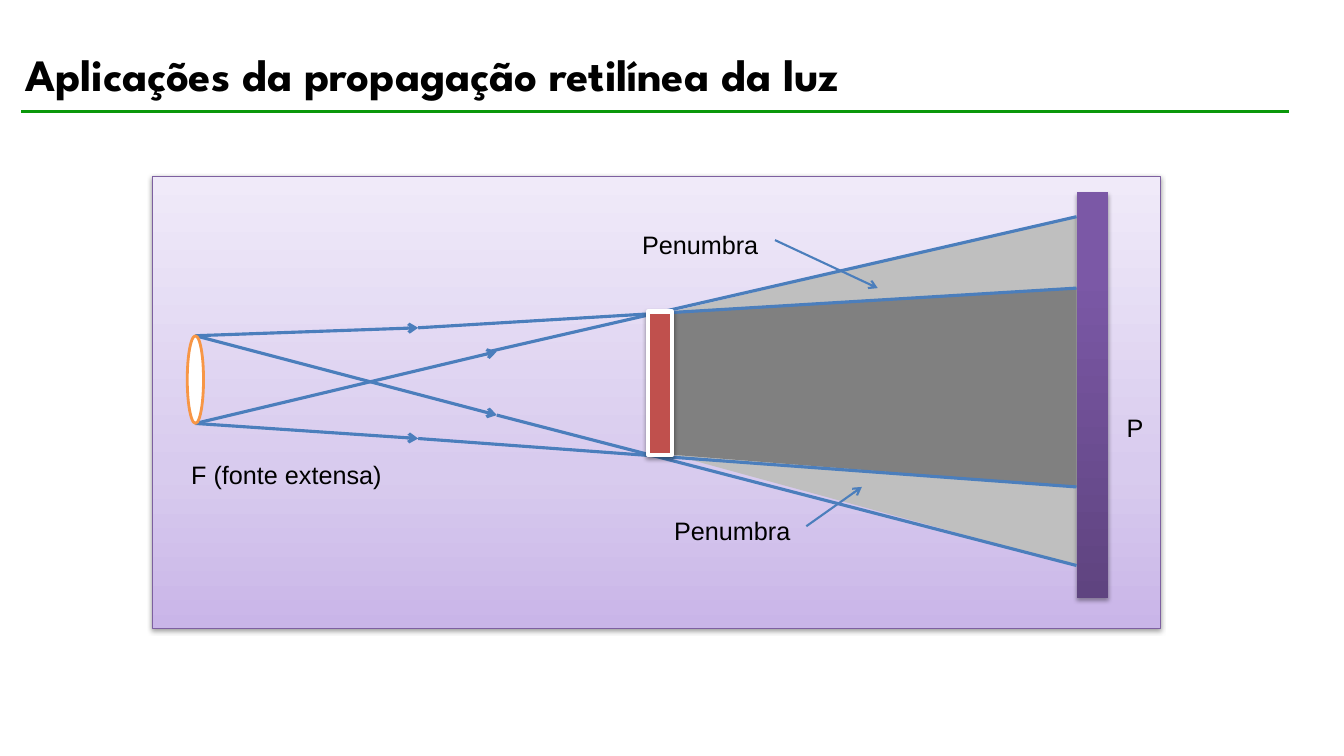
"""Build the slide on the straight-line propagation of light, with umbra and penumbra."""
from pptx import Presentation
from pptx.dml.color import RGBColor
from pptx.enum.shapes import MSO_CONNECTOR, MSO_SHAPE
from pptx.enum.text import MSO_ANCHOR, MSO_AUTO_SIZE, PP_ALIGN
from pptx.oxml import parse_xml
from pptx.oxml.ns import nsdecls, qn
from pptx.util import Cm, Pt

TITLE = "Aplicações da propagação retilínea da luz"
TITLE_BOX = (0.3, 0.81, 25.12, 2.08)
RULE = ((0.53, 2.82), (32.49, 2.82))
LABELS = [
    ("Penumbra", 16.74, 12.85, 3.48),
    ("P", 28.14, 10.26, 0.94),
    ("Penumbra", 15.93, 5.66, 3.48),
    ("F (fonte extensa)", 4.57, 11.46, 5.36),
]
POINTERS = [((20.32, 13.26), (21.72, 12.27)), ((19.53, 6.05), (22.12, 7.26))]

PANEL = (3.84, 4.45, 25.4, 11.4)
WALL = (27.13, 4.85, 0.79, 10.21)
BLOCK = (16.33, 7.85, 0.61, 3.61)
LAMP = (4.72, 8.46, 0.41, 2.21)
HITS = {"penumbra": (5.46, 14.25), "umbra": (7.26, 12.27)}
SHADES = {"penumbra": "BFBFBF", "umbra": "808080"}
PANEL_STOPS = [(0, "C9B5E8"), (35, "D8CBEE"), (100, "F0EAF9")]
WALL_STOPS = [(0, "5F4480"), (80, "7B58A6"), (100, "7C57A8")]
BLUE = "4B7EBC"

LAMP_X = LAMP[0] + LAMP[2] / 2
LAMP_TOP, LAMP_LOW = LAMP[1], LAMP[1] + LAMP[3]
RAYS = [
    (LAMP_TOP, (12.52, 10.46), 12.52, HITS["penumbra"][1]),
    (LAMP_LOW, (12.52, 8.86), 12.32, HITS["penumbra"][0]),
    (LAMP_LOW, (10.54, 11.05), 10.54, HITS["umbra"][1]),
    (LAMP_TOP, (10.54, 8.26), 10.54, HITS["umbra"][0]),
]


def color(code):
    return RGBColor.from_string(code)


def style(item, **values):
    for name, value in values.items():
        setattr(item, name, value)


def paint(shape, fill, line=None, width=0):
    shape.shadow.inherit = False
    if isinstance(fill, str):
        shape.fill.solid()
        shape.fill.fore_color.rgb = color(fill)
    else:
        shape.fill.gradient()
        shape.fill.gradient_angle = 90
        stops = shape._element.spPr.find(".//" + qn("a:gsLst"))
        for stop in list(stops):
            stops.remove(stop)
        for place, code in fill:
            stops.append(parse_xml(
                f'<a:gs {nsdecls("a")} pos="{place * 1000}"><a:srgbClr val="{code}"/></a:gs>'))
    if line:
        shape.line.color.rgb = color(line)
        shape.line.width = Pt(width)
    else:
        shape.line.fill.background()


def add_box(slide, kind, box, fill, line=None, width=0, depth=0, alpha=38):
    shape = slide.shapes.add_shape(kind, *map(Cm, box))
    paint(shape, fill, line, width)
    if depth:
        shape._element.spPr.find(qn("a:effectLst")).append(parse_xml(
            f'<a:outerShdw {nsdecls("a")} blurRad="{Pt(3.1)}" dist="{Pt(depth)}" '
            f'dir="5400000" rotWithShape="0"><a:srgbClr val="000000">'
            f'<a:alpha val="{alpha * 1000}"/></a:srgbClr></a:outerShdw>'))


def add_shade(slide, name):
    left, right = BLOCK[0] + BLOCK[2], WALL[0]
    high, low = HITS[name]
    points = [(right, high), (right, low), (left, BLOCK[1] + BLOCK[3])]
    form = slide.shapes.build_freeform(Cm(left), Cm(BLOCK[1]))
    form.add_line_segments([(Cm(x), Cm(y)) for x, y in points], close=True)
    paint(form.convert_to_shape(), SHADES[name])


def add_line(slide, start, end, code=BLUE, width=2.25, arrow=False):
    line = slide.shapes.add_connector(MSO_CONNECTOR.STRAIGHT, *map(Cm, start + end))
    line.line.color.rgb = color(code)
    line.line.width = Pt(width)
    props = line._element.spPr
    if arrow:
        props.find(qn("a:ln")).append(parse_xml(f'<a:tailEnd {nsdecls("a")} type="arrow"/>'))
    props.append(parse_xml(f'<a:effectLst {nsdecls("a")}/>'))


def write(frame, text, font, size, bold=False):
    frame.text = text
    part = frame.paragraphs[0]
    part.alignment = PP_ALIGN.LEFT
    style(part.runs[0].font, name=font, size=Pt(size), bold=bold)
    part.runs[0].font.color.rgb = color("000000")


def add_title(slide):
    title = slide.shapes.title
    left, top, width, height = map(Cm, TITLE_BOX)
    style(title, left=left, top=top, width=width, height=height)
    style(title.text_frame, auto_size=MSO_AUTO_SIZE.NONE, word_wrap=True,
          vertical_anchor=MSO_ANCHOR.MIDDLE, margin_left=Cm(0.34), margin_right=Cm(0.34),
          margin_top=Cm(0.17), margin_bottom=Cm(0.17))
    write(title.text_frame, TITLE, "League Spartan", 32, True)


def add_label(slide, text, left, top, width):
    frame = slide.shapes.add_textbox(Cm(left), Cm(top), Cm(width), Cm(1.02)).text_frame
    style(frame, word_wrap=False, auto_size=MSO_AUTO_SIZE.SHAPE_TO_FIT_TEXT)
    write(frame, text, "Arial", 18)


def main():
    deck = Presentation()
    style(deck, slide_width=Cm(33.87), slide_height=Cm(19.05))
    slide = deck.slides.add_slide(deck.slide_layouts[5])
    add_title(slide)
    add_box(slide, MSO_SHAPE.RECTANGLE, PANEL, PANEL_STOPS, "7D60A0", 0.75, 1.6)
    add_shade(slide, "penumbra")
    add_box(slide, MSO_SHAPE.RECTANGLE, WALL, WALL_STOPS, depth=1.8, alpha=35)
    add_shade(slide, "umbra")
    for start, end in POINTERS:
        add_line(slide, start, end, width=1.5, arrow=True)
    for label in LABELS:
        add_label(slide, *label)
    for start, tip, next_x, hit in RAYS:
        add_line(slide, (LAMP_X, start), tip, arrow=True)
        add_line(slide, (next_x, tip[1]), (WALL[0], hit))
    add_box(slide, MSO_SHAPE.RECTANGLE, BLOCK, "C0504D", "FFFFFF", 3, 1.6)
    add_box(slide, MSO_SHAPE.OVAL, LAMP, "FFFFFF", "F79646", 2)
    add_line(slide, *RULE, code="0A980A")
    deck.save("out.pptx")


if __name__ == "__main__":
    main()
